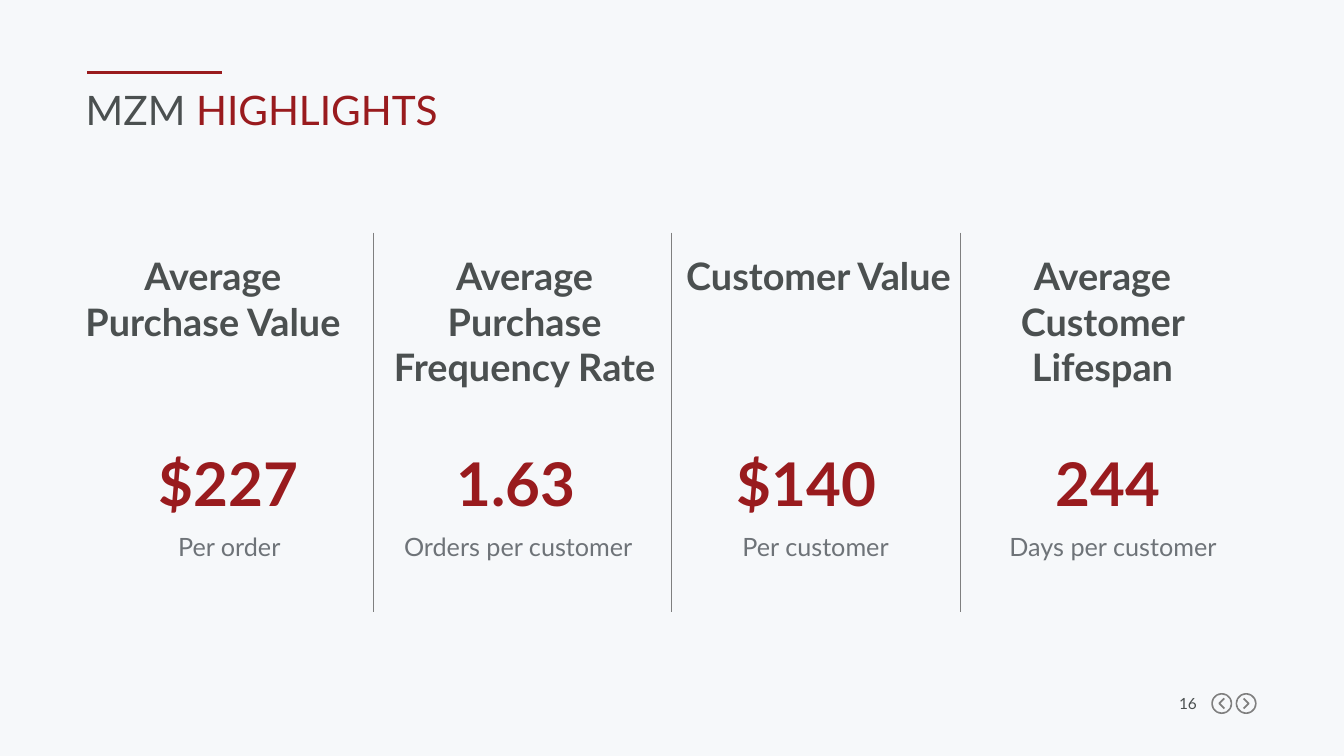
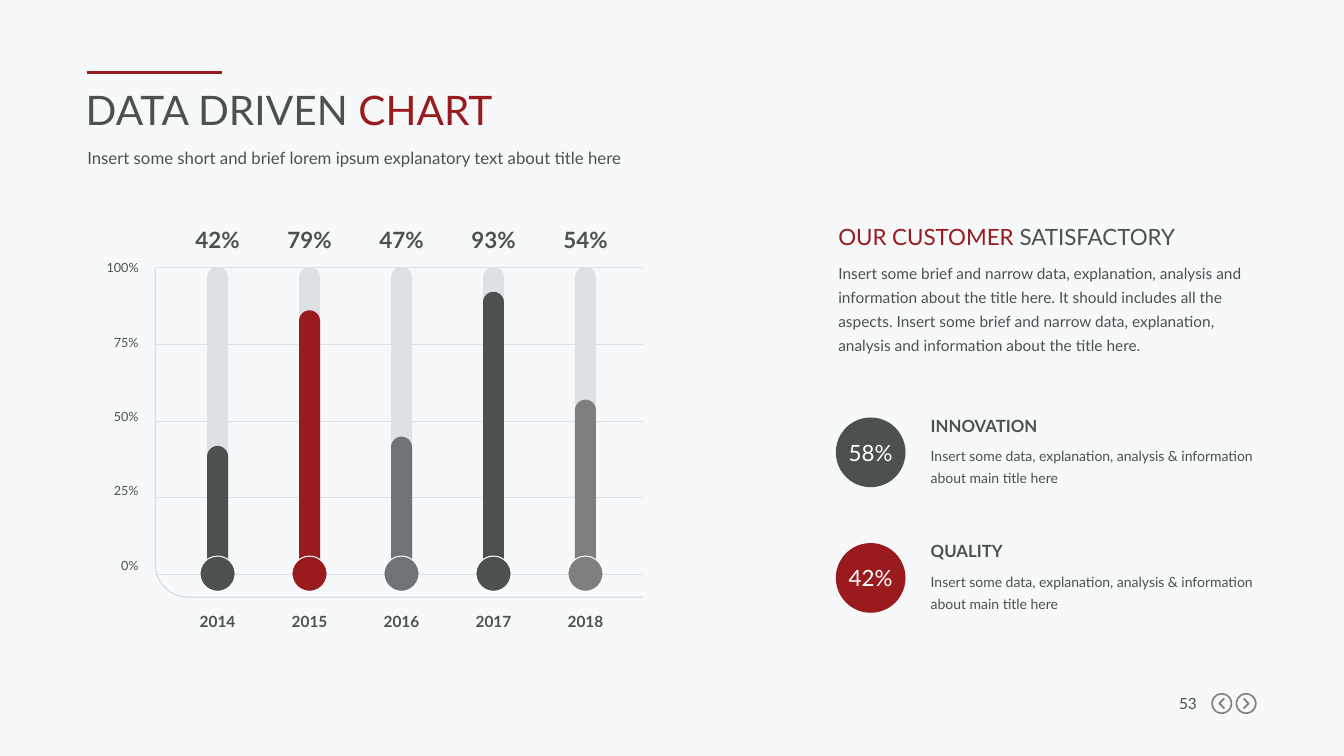
import math
from dataclasses import dataclass

from lxml import etree
from pptx import Presentation
from pptx import util as u
from pptx.dml.color import RGBColor
from pptx.enum import shapes, text
from pptx.oxml import ns

# Grid: 160 columns by 90 rows of square cells
COLUMNS, ROWS = 160, 90
CELL = u.Inches(7.5) / ROWS

COLORS = {
    "page": "F6F8FA", "ink": "4B5050", "red": "991B1E", "slate": "6E7378",
    "gray": "7F7F7F", "pale": "DCE1E6", "white": "FFFFFF",
}
STYLES = {
    "title": {"size": 29, "bold": False},
    "metric": {"size": 27, "bold": True},
    "figure": {"size": 43, "bold": True},
    "unit": {"size": 18, "bold": False},
    "percent": {"size": 16, "bold": True},
    "lead": {"size": 16, "bold": False},
    "label": {"size": 12, "bold": True},
    "subtitle": {"size": 12, "bold": False},
    "year": {"size": 11, "bold": True},
    "body": {"size": 11, "bold": False},
    "detail": {"size": 10, "bold": False},
    "tick": {"size": 9, "bold": False},
}
LEFT, CENTER, RIGHT = text.PP_ALIGN.LEFT, text.PP_ALIGN.CENTER, text.PP_ALIGN.RIGHT
Runs = list[tuple[str, str]]  # wording and colour name


@dataclass
class Highlight:
    metric: str
    figure: str
    unit: str
    metric_left: float
    figure_left: float
    unit_left: float


@dataclass
class Year:
    name: str
    percent: str
    fill_share: float
    color: str


@dataclass
class Quality:
    name: str
    percent: str
    color: str


HIGHLIGHTS = [
    Highlight("Average Purchase Value", "$227", "Per order", 7.9, 12.5, 12.6),
    Highlight("Average Purchase Frequency Rate", "1.63", "Orders per customer", 45, 46.7, 47),
    Highlight("Customer Value", "$140", "Per customer", 80, 81.3, 82.4),
    Highlight("Average Customer Lifespan", "244", "Days per customer", 113.8, 117.2, 117.8),
]
DIVIDERS = [44.5, 79.9, 114.4]
YEARS = [
    Year("2014", "42%", 0.42, "ink"),
    Year("2015", "79%", 0.86, "red"),
    Year("2016", "47%", 0.45, "slate"),
    Year("2017", "93%", 0.92, "ink"),
    Year("2018", "54%", 0.57, "gray"),
]
TICKS = ["100%", "75%", "50%", "25%", "0%"]
QUALITIES = [Quality("INNOVATION", "58%", "ink"), Quality("QUALITY", "42%", "red")]
QUALITY_DETAIL = "Insert some data, explanation, analysis & information about main title here"
SATISFACTION = (
    "Insert some brief and narrow data, explanation, analysis and information about "
    "the title here. It should includes all the aspects. Insert some brief and narrow "
    "data, explanation, analysis and information about the title here."
)


# Shared drawing helpers
def cells(count: float) -> u.Emu:
    return u.Emu(round(count * CELL))


def rgb(name: str) -> RGBColor:
    return RGBColor.from_string(COLORS[name])


def write(frame, runs: Runs, style: str, align=LEFT, spacing: float = 1.0,
          anchor=text.MSO_ANCHOR.TOP) -> None:
    layout = {
        "margin_left": 0, "margin_top": 0, "margin_right": 0, "margin_bottom": 0,
        "word_wrap": True, "auto_size": text.MSO_AUTO_SIZE.NONE, "vertical_anchor": anchor,
    }
    for key, value in layout.items():
        setattr(frame, key, value)
    paragraph = frame.paragraphs[0]
    paragraph.alignment = align
    paragraph.line_spacing = spacing
    for wording, color in runs:
        run = paragraph.add_run()
        run.text = wording
        font_format = {**STYLES[style], "name": "Lato", "size": u.Pt(STYLES[style]["size"])}
        for key, value in font_format.items():
            setattr(run.font, key, value)
        run.font.color.rgb = rgb(color)


def add_text(slide, left: float, top: float, width: float, height: float,
             runs: Runs, style: str, align=LEFT, spacing: float = 1.0) -> None:
    box = slide.shapes.add_textbox(*map(cells, (left, top, width, height)))
    write(box.text_frame, runs, style, align, spacing)


def add_line(slide, start: tuple[float, float], end: tuple[float, float],
             color: str, weight: float = 0.75) -> None:
    line = slide.shapes.add_connector(
        shapes.MSO_CONNECTOR.STRAIGHT, *map(cells, (*start, *end)))
    line.line.color.rgb = rgb(color)
    line.line.width = u.Pt(weight)
    etree.SubElement(line._element.spPr, ns.qn("a:effectLst"))


def add_solid(slide, kind, left: float, top: float, width: float, height: float,
              color: str, outline: str | None = None):
    solid = slide.shapes.add_shape(kind, *map(cells, (left, top, width, height)))
    solid.shadow.inherit = False
    solid.fill.solid()
    solid.fill.fore_color.rgb = rgb(color)
    if outline:
        solid.line.color.rgb = rgb(outline)
        solid.line.width = u.Pt(0.75)
    else:
        solid.line.fill.background()
    return solid


def add_pill(slide, center: float, bottom: float, height: float, color: str) -> None:
    width = 2.5
    pill = add_solid(slide, shapes.MSO_SHAPE.ROUNDED_RECTANGLE,
                     center - width / 2, bottom - height, width, height, color)
    pill.adjustments[0] = 0.5


def add_path(slide, points: list[tuple[float, float]], color: str, weight: float) -> None:
    # Freeform points are kept as whole numbers, so they are given in EMU
    start, *rest = [(cells(x), cells(y)) for x, y in points]
    builder = slide.shapes.build_freeform(*start)
    builder.add_line_segments(rest, close=False)
    outline = builder.convert_to_shape()
    outline.shadow.inherit = False
    outline.fill.background()
    outline.line.color.rgb = rgb(color)
    outline.line.width = u.Pt(weight)


# Title, rule and footer common to the slides
def add_arrow_button(slide, left: float, direction: int) -> None:
    top, size = 82.5, 2.5
    ring = add_solid(slide, shapes.MSO_SHAPE.DONUT, left, top, size, size, "gray")
    ring.adjustments[0] = 0.07
    x, y = left + size / 2, top + size / 2
    reach = 0.3 * direction
    add_path(slide, [(x - reach, y - 0.6), (x + reach, y), (x - reach, y + 0.6)], "gray", 1.25)


def start_slide(deck, title: Runs, number: str):
    slide = deck.slides.add_slide(deck.slide_layouts[5])
    heading = slide.shapes.title
    place = {"left": 10.2, "top": 10.1, "width": 139.2, "height": 6.7}
    for key, value in place.items():
        setattr(heading, key, cells(value))
    write(heading.text_frame, title, "title")
    add_line(slide, (10.4, 8.6), (26.4, 8.6), "red", 2.25)
    add_text(slide, 138.9, 82.6, 3.6, 2.2, [(number, "ink")], "body", RIGHT)
    add_arrow_button(slide, 144.2, -1)
    add_arrow_button(slide, 147.1, 1)
    return slide


# Highlights slide
def add_highlights(deck) -> None:
    slide = start_slide(deck, [("MZM ", "ink"), ("HIGHLIGHTS", "red")], "16")
    for divider in DIVIDERS:
        add_line(slide, (divider, 27.7), (divider, 72.8), "gray")
    for item in HIGHLIGHTS:
        add_text(slide, item.metric_left, 30.1, 34.9, 4.6, [(item.metric, "ink")], "metric", CENTER)
        add_text(slide, item.figure_left, 53.1, 29.4, 9, [(item.figure, "red")], "figure", CENTER)
        add_text(slide, item.unit_left, 63.3, 29.4, 4.1, [(item.unit, "slate")], "unit", CENTER)


# Thermometer chart with its axis
def add_thermometers(slide) -> None:
    left, right, top, bottom, radius = 18.5, 76.5, 31.9, 71.1, 3.9
    for index, tick in enumerate(TICKS):
        grid_y = top + 9.12 * index
        add_line(slide, (left, grid_y), (right, grid_y), "pale")
        add_text(slide, 12.1, 31 + 8.85 * index, 4.4, 1.9, [(tick, "ink")], "tick", RIGHT)

    corner = [
        (left + radius - radius * math.cos(angle), bottom - radius + radius * math.sin(angle))
        for angle in (math.radians(degrees) for degrees in range(0, 91, 6))
    ]
    add_path(slide, [(left, top), *corner, (right, bottom)], "pale", 1)

    track_bottom, track_height, knob, label_width = 68.5, 36.7, 4.2, 10
    for index, year in enumerate(YEARS):
        center = 25.9 + 10.95 * index
        label_left = center - label_width / 2
        add_pill(slide, center, track_bottom, track_height, "pale")
        add_pill(slide, center, track_bottom, track_height * year.fill_share, year.color)
        add_solid(slide, shapes.MSO_SHAPE.OVAL, center - knob / 2, 66.2, knob, knob,
                  year.color, "white")
        add_text(slide, label_left, 26.9, label_width, 3.2,
                 [(year.percent, "ink")], "percent", CENTER)
        add_text(slide, label_left, 72.4, label_width, 2.6,
                 [(year.name, "ink")], "year", CENTER, 1.2)


# Satisfaction column
def add_satisfaction(slide) -> None:
    add_text(slide, 99.8, 26.6, 49.6, 3.2,
             [("OUR CUSTOMER ", "red"), ("SATISFACTORY", "ink")], "lead")
    add_text(slide, 99.8, 30.8, 49.6, 11.2, [(SATISFACTION, "ink")], "body", spacing=1.3)
    for index, quality in enumerate(QUALITIES):
        top = 49.7 + 14.95 * index
        badge = add_solid(slide, shapes.MSO_SHAPE.OVAL, 99.5, top, 8.3, 8.3, quality.color)
        write(badge.text_frame, [(quality.percent, "white")], "lead", CENTER,
              anchor=text.MSO_ANCHOR.MIDDLE)
        badge.text_frame.word_wrap = False
        add_text(slide, 110.8, top - 0.25, 38.5, 2.4, [(quality.name, "ink")], "label")
        add_text(slide, 110.8, top + 3, 38.5, 5.3, [(QUALITY_DETAIL, "ink")], "detail", spacing=1.3)


def add_data_chart(deck) -> None:
    slide = start_slide(deck, [("DATA DRIVEN ", "ink"), ("CHART", "red")], "53")
    subtitle = "Insert some short and brief lorem ipsum explanatory text about title here"
    add_text(slide, 10.4, 16.8, 139.2, 2.5, [(subtitle, "ink")], "subtitle", spacing=1.33)
    add_thermometers(slide)
    add_satisfaction(slide)


def main() -> None:
    deck = Presentation()
    deck.slide_width, deck.slide_height = cells(COLUMNS), cells(ROWS)
    backdrop = deck.slide_master.background.fill
    backdrop.solid()
    backdrop.fore_color.rgb = rgb("page")
    add_highlights(deck)
    add_data_chart(deck)
    deck.save("out.pptx")


if __name__ == "__main__":
    main()
